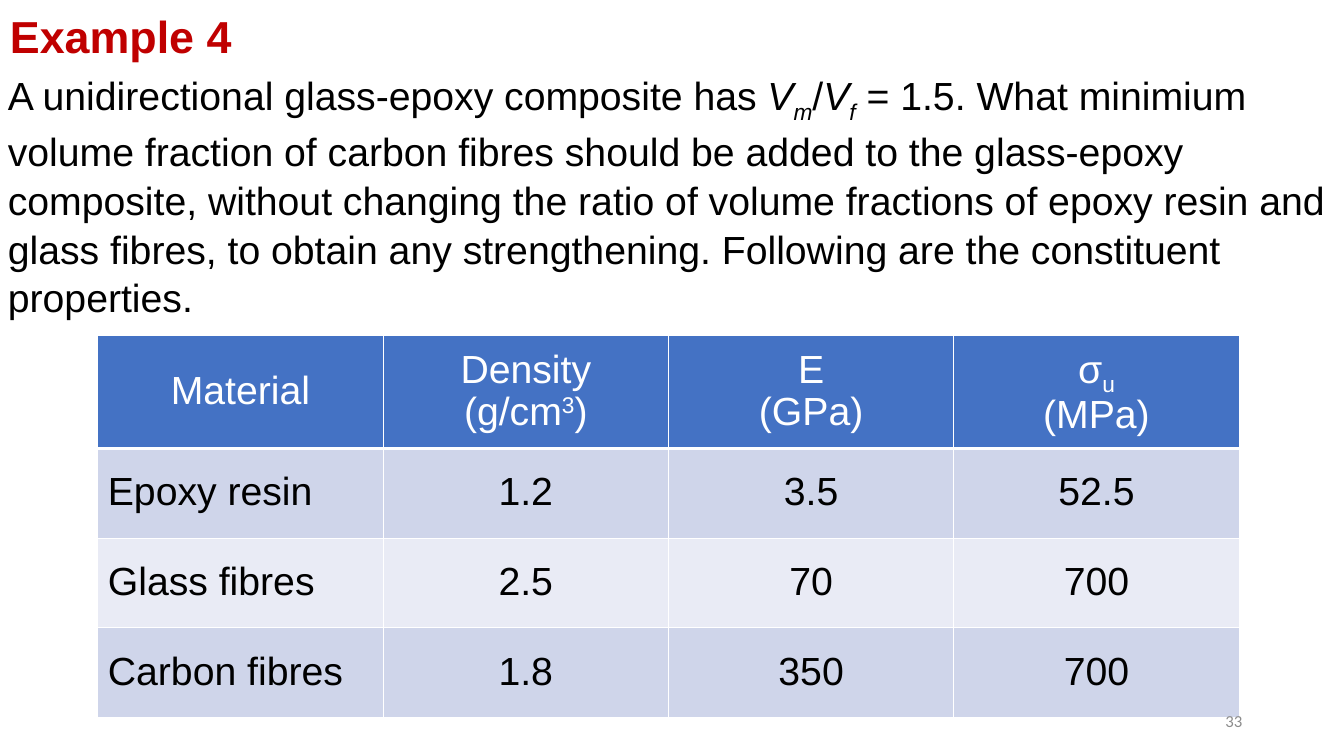
"""Builds the Example 4 slide on strengthening a glass-epoxy composite."""
from lxml.etree import SubElement as Sub
from pptx import Presentation
from pptx.dml.color import RGBColor as RGB
from pptx.enum.text import MSO_ANCHOR as Anchor, PP_ALIGN as Align
from pptx.oxml.ns import qn
from pptx.util import Inches, Pt

RED = RGB(0xC0, 0x00, 0x00)
BLACK = RGB(0x00, 0x00, 0x00)
WHITE = RGB(0xFF, 0xFF, 0xFF)
GREY = RGB(0x8C, 0x8C, 0x8C)
BLUE = RGB(0x44, 0x72, 0xC4)
BANDS = [RGB(0xCF, 0xD5, 0xEA), RGB(0xE9, 0xEB, 0xF5)]


def write(frame, lines, color, size=28, name="Arial", bold=False, **form):
    """Fill a frame with lines of (text, baseline, italic) runs."""
    for i, line in enumerate(lines):
        para = frame.paragraphs[0] if i == 0 else frame.add_paragraph()
        for key, value in form.items():
            setattr(para, key, value)
        for text, base, slant in line:
            run = para.add_run()
            run.text = text
            font = run.font
            look = {"size": Pt(size), "name": name, "bold": bold, "italic": slant}
            for key, value in look.items():
                setattr(font, key, value)
            font.color.rgb = color
            if base:
                run._r.get_or_add_rPr().set("baseline", str(base * 1000))


def edge(cell, widths):
    """Draw white cell borders, before the cell gets its fill."""
    props = cell._tc.get_or_add_tcPr()
    for side, width in widths.items():
        line = Sub(props, qn("a:ln" + side), w=str(Pt(width)))
        Sub(Sub(line, qn("a:solidFill")), qn("a:srgbClr"), val=str(WHITE))


deck = Presentation()
deck.slide_width, deck.slide_height = Inches(13.33), Inches(7.5)
slide = deck.slides.add_slide(deck.slide_layouts[6])

task = [
    ("A unidirectional glass-epoxy composite has ", 0, False),
    ("V", 0, True), ("m", -25, True), ("/", 0, False),
    ("V", 0, True), ("f", -25, True),
    (" = 1.5. What minimium volume fraction of carbon fibres should be added "
     "to the glass-epoxy composite, without changing the ratio of volume "
     "fractions of epoxy resin and glass fibres, to obtain any strengthening. "
     "Following are the constituent properties.", 0, False),
]
boxes = [
    ((-0.02, 0.64, 13.57, 3.57), Anchor.TOP, task,
     {"color": BLACK, "line_spacing": 1.04, "space_after": Pt(6)}),
    ((0, -0.02, 13.12, 0.83), Anchor.TOP, [("Example 4", 0, False)],
     {"color": RED, "size": 32, "bold": True, "line_spacing": 1.1,
      "space_after": Pt(12)}),
    ((9.42, 6.95, 3, 0.4), Anchor.MIDDLE, [("33", 0, False)],
     {"color": GREY, "size": 12, "name": "Calibri", "alignment": Align.RIGHT}),
]

heads = [
    [[("Material", 0, False)]],
    [[("Density", 0, False)],
     [("(g/cm", 0, False), ("3", 30, False), (")", 0, False)]],
    [[("E", 0, False)], [("(GPa)", 0, False)]],
    [[("σ", 0, False), ("u", -25, False)], [("(MPa)", 0, False)]],
]
data = [
    ("Epoxy resin", "1.2", "3.5", "52.5"),
    ("Glass fibres", "2.5", "70", "700"),
    ("Carbon fibres", "1.8", "350", "700"),
]
rows = [heads] + [[[[(text, 0, False)]] for text in row] for row in data]

for spot, anchor, line, form in boxes[:2]:
    frame = slide.shapes.add_textbox(*map(Inches, spot)).text_frame
    frame.word_wrap, frame.vertical_anchor = True, anchor
    write(frame, [line], **form)

grid = slide.shapes.add_table(
    4, 4, Inches(0.97), Inches(3.33), Inches(11.31), Inches(3.79)).table
for col in grid.columns:
    col.width = Inches(2.83)
for r, row in enumerate(rows):
    grid.rows[r].height = Inches(0.89 if r else 1.12)
    for c, lines in enumerate(row):
        cell = grid.cell(r, c)
        edge(cell, {"L": 1, "R": 1, "T": 3 if r == 1 else 1, "B": 1 if r else 3})
        cell.fill.solid()
        cell.fill.fore_color.rgb = BANDS[(r - 1) % 2] if r else BLUE
        cell.vertical_anchor = Anchor.MIDDLE
        write(cell.text_frame, lines, BLACK if r else WHITE, line_spacing=0.95,
              alignment=Align.LEFT if r and c == 0 else Align.CENTER)

for spot, anchor, line, form in boxes[2:]:
    frame = slide.shapes.add_textbox(*map(Inches, spot)).text_frame
    frame.word_wrap, frame.vertical_anchor = True, anchor
    write(frame, [line], **form)

deck.save("out.pptx")
